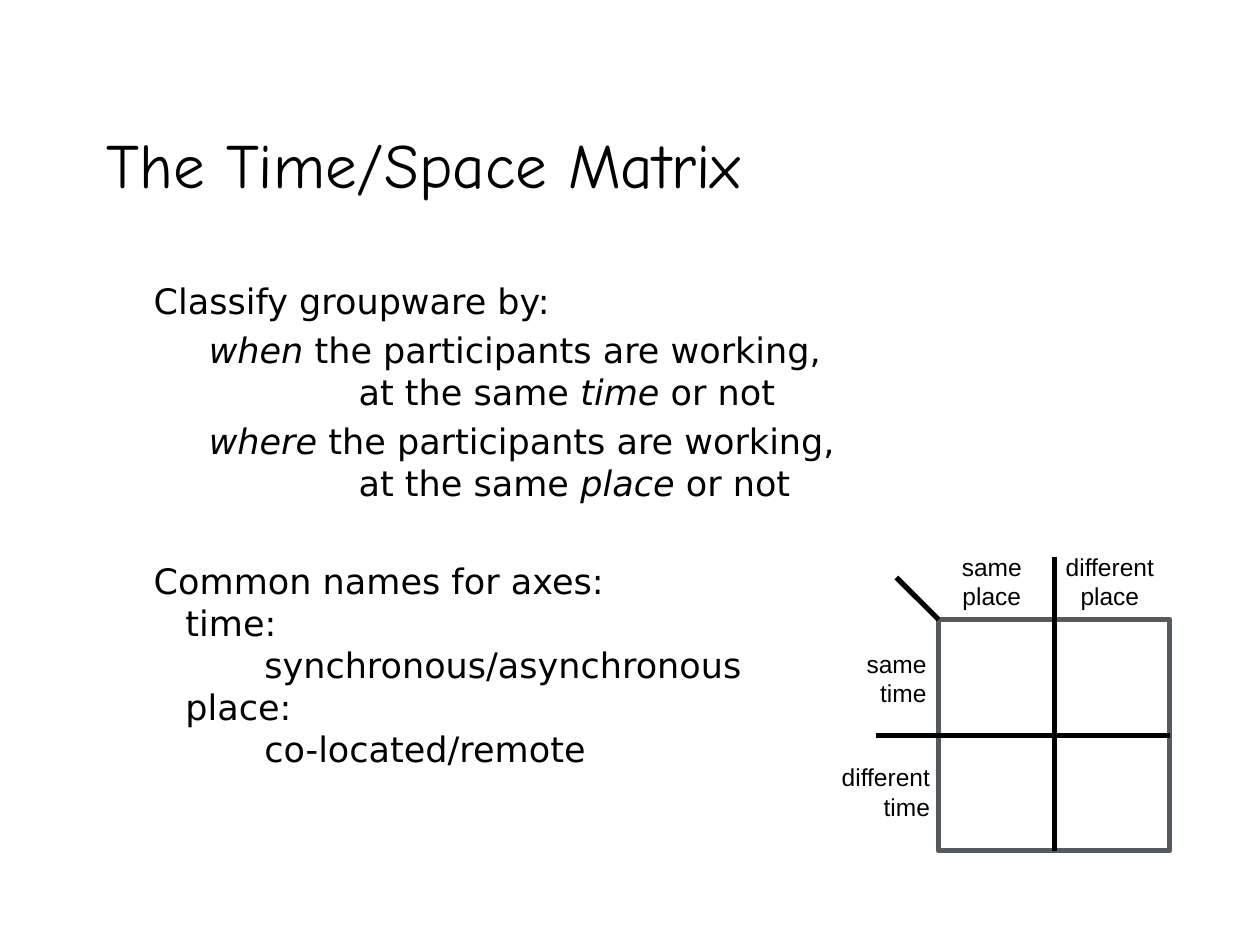
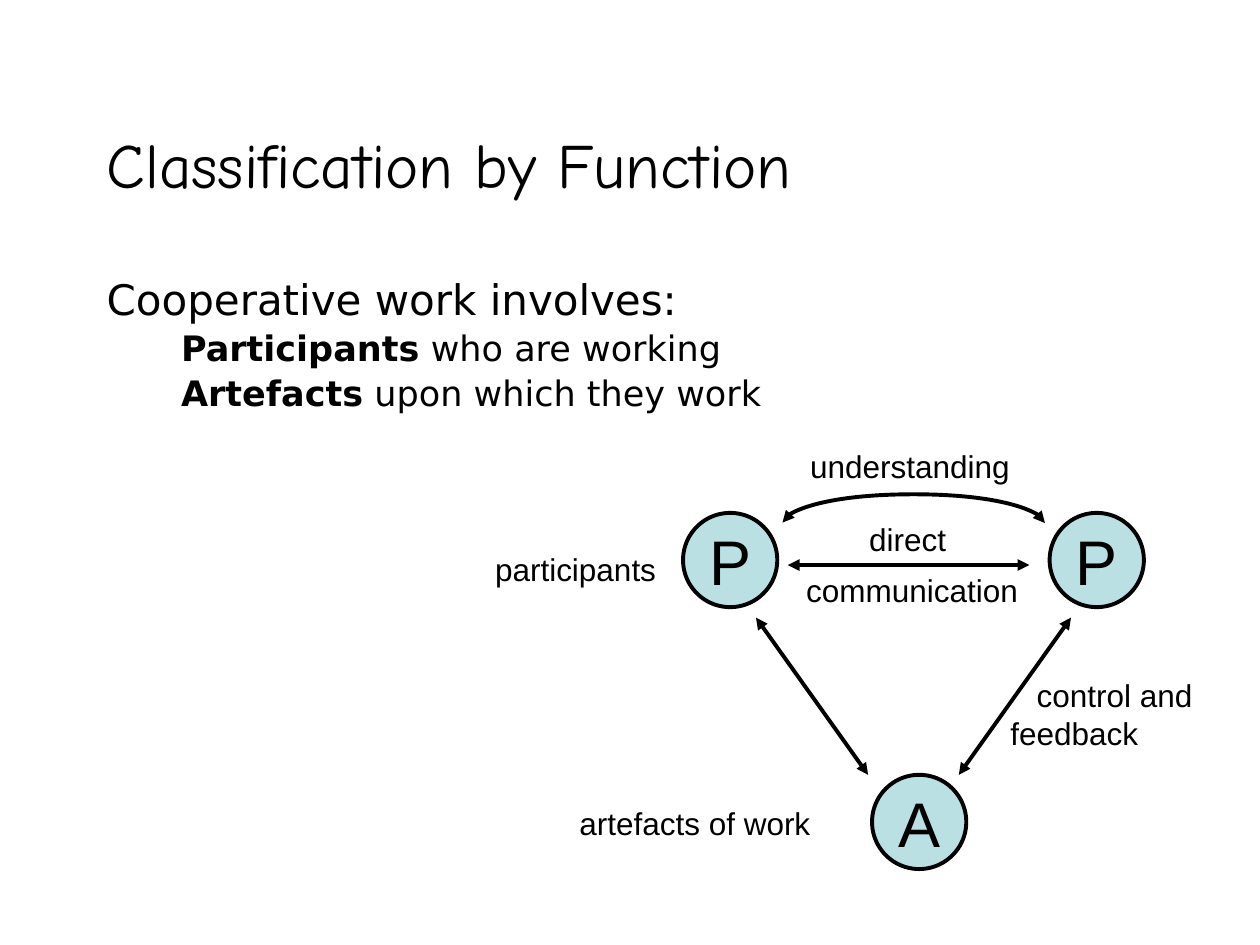
from pptx import Presentation
from pptx.dml.color import RGBColor
from pptx.enum.shapes import MSO_CONNECTOR as LINK, MSO_SHAPE as SHAPE
from pptx.enum.text import MSO_ANCHOR as ANCHOR, MSO_AUTO_SIZE as FIT, PP_ALIGN as ALIGN
from pptx.oxml.ns import qn
from pptx.util import Cm, Pt
from lxml.etree import SubElement

BLACK, WHITE, GREY, AQUA = "000000", "FFFFFF", "555A5E", "BBE0E3"
TITLE_FONT, BODY_FONT, LABEL_FONT = "Comic Neue", "DejaVu Sans", "Arial"


def rgb(color):
    return RGBColor.from_string(color)


class Deck:
    """Holds the shared style and the slide being built; lengths are in cm."""

    def __init__(self):
        self.prs = Presentation()
        self.prs.slide_width, self.prs.slide_height = Cm(25.4), Cm(19.05)

    def slide(self, title):
        self.s = self.prs.slides.add_slide(self.prs.slide_layouts[5])
        sp = self.s.shapes.title
        sp.left, sp.top, sp.width, sp.height = Cm(1.9), Cm(1.7), Cm(19.05), Cm(3.18)
        sp.text_frame.vertical_anchor = ANCHOR.MIDDLE
        p = sp.text_frame.paragraphs[0]
        p.alignment = ALIGN.LEFT
        self.run(p, title, TITLE_FONT, 36)

    def run(self, p, text, font, size, style=""):
        r = p.add_run()
        r.text = text
        r.font.name, r.font.size = font, Pt(size)
        r.font.bold, r.font.italic = style == "b", style == "i"
        r.font.color.rgb = rgb(BLACK)

    def body(self, height, lines, spacing=1.0):
        """Each line is (left indent, space before, size, runs)."""
        tf = self.s.shapes.add_textbox(Cm(1.9), Cm(5.5), Cm(21.59), Cm(height)).text_frame
        tf.word_wrap = True
        for i, (left, before, size, runs) in enumerate(lines):
            p = tf.add_paragraph() if i else tf.paragraphs[0]
            p.line_spacing, p.space_before = spacing, Pt(before)
            p._p.get_or_add_pPr().set("marL", str(Cm(left)))
            for text, style in runs:
                self.run(p, text, BODY_FONT, size, style)

    def label(self, x, y, w, h, text, size, align=ALIGN.LEFT, first_indent=0):
        tf = self.s.shapes.add_textbox(Cm(x), Cm(y), Cm(w), Cm(h)).text_frame
        tf.word_wrap, tf.auto_size = False, FIT.SHAPE_TO_FIT_TEXT
        p = tf.paragraphs[0]
        p.alignment = align
        if first_indent:
            p._p.get_or_add_pPr().set("indent", str(Cm(first_indent)))
        for i, line in enumerate(text.split("\n")):
            if i:
                p.add_line_break()
            self.run(p, line, LABEL_FONT, size)

    def shape(self, kind, x, y, size, fill, line, width, text=""):
        sp = self.s.shapes.add_shape(kind, Cm(x), Cm(y), Cm(size), Cm(size))
        sp.shadow.inherit = False
        sp.fill.solid()
        sp.fill.fore_color.rgb = rgb(fill)
        sp.line.color.rgb, sp.line.width = rgb(line), Pt(width)
        if text:
            tf = sp.text_frame
            tf.word_wrap, tf.vertical_anchor = False, ANCHOR.MIDDLE
            p = tf.paragraphs[0]
            p.alignment = ALIGN.CENTER
            self.run(p, text, LABEL_FONT, 36)

    def line(self, x1, y1, x2, y2, width, kind=LINK.STRAIGHT, arrows=False):
        c = self.s.shapes.add_connector(kind, Cm(x1), Cm(y1), Cm(x2), Cm(y2))
        c.line.color.rgb, c.line.width = rgb(BLACK), Pt(width)
        if arrows:
            for end in ("a:headEnd", "a:tailEnd"):
                SubElement(c.line._ln, qn(end), type="triangle")
        SubElement(c._element.spPr, qn("a:effectLst"))
        return c

    def arch(self, x1, x2, y, rise, width):
        """Curved double arrow: an upright connector of tiny width, turned 90 degrees."""
        thin, mid, half = 0.01, (x1 + x2) / 2, (x2 - x1) / 2
        c = self.line(mid, y - half, mid + thin, y + half, width, LINK.CURVE, True)
        xfrm = c._element.spPr.find(qn("a:xfrm"))
        xfrm.set("rot", str(90 * 60000))
        xfrm.set("flipV", "1")
        adjust = c._element.spPr.find(qn("a:prstGeom")).get_or_add_avLst()
        SubElement(adjust, qn("a:gd"), name="adj1", fmla=f"val {round(-rise / thin * 100000)}")


def time_space_matrix(deck):
    deck.slide("The Time/Space Matrix")
    deck.body(11.43, [
        (0.95, 0, 20, [("Classify groupware by:", "")]),
        (2.06, 4, 20, [("when", "i"), (" the participants are working,", "")]),
        (5.08, 0, 20, [("at the same ", ""), ("time", "i"), (" or not", "")]),
        (2.06, 4, 20, [("where", "i"), (" the participants are working,", "")]),
        (5.08, 0, 20, [("at the same ", ""), ("place", "i"), (" or not", "")]),
        (0.95, 32, 20, [("Common names for axes:", "")]),
        (1.59, 0, 20, [("time:", "")]),
        (3.18, 0, 20, [("synchronous/asynchronous", "")]),
        (1.59, 0, 20, [("place:", "")]),
        (3.18, 0, 20, [("co-located/remote", "")]),
    ])
    left, top, cell, overhang, diagonal = 18.92, 12.49, 2.33, 1.27, 0.85
    mid_x, mid_y = left + cell, top + cell
    deck.shape(SHAPE.RECTANGLE, left, top, 2 * cell, WHITE, GREY, 3)
    deck.line(left - overhang, mid_y, mid_x + cell, mid_y, 3)
    deck.line(mid_x, top - overhang, mid_x, mid_y + cell, 3)
    deck.line(left, top, left - diagonal, top - diagonal, 3)
    for x, y, w, text, align in (
        (21.23, 11, 2.29, "different\nplace", ALIGN.CENTER),
        (19.13, 11, 1.73, "same\nplace", ALIGN.CENTER),
        (17.2, 12.95, 1.73, "same\ntime", ALIGN.RIGHT),
        (16.71, 15.24, 2.29, "different\ntime", ALIGN.RIGHT),
    ):
        deck.label(x, y, w, 1.45, text, 14, align)


def classification_by_function(deck):
    deck.slide("Classification by Function")
    deck.body(3.18, [
        (0, 0, 24, [("Cooperative work involves:", "")]),
        (1.5, 4, 20, [("Participants", "b"), (" who are working", "")]),
        (1.5, 4, 20, [("Artefacts", "b"), (" upon which they work", "")]),
    ], spacing=0.9)
    for x, y, letter in ((13.77, 10.34, "P"), (21.16, 10.34, "P"), (17.58, 15.62, "A")):
        deck.shape(SHAPE.OVAL, x, y, 1.9, AQUA, BLACK, 2.25, letter)
    for ends in (
        (15.24, 12.45, 17.5, 15.62),
        (21.59, 12.45, 19.33, 15.62),
        (20.75, 11.39, 15.88, 11.39),
    ):
        deck.line(*ends, 2.25, arrows=True)
    deck.arch(15.77, 21.06, 10.54, 0.57, 2.25)
    for x, y, w, text in (
        (9.73, 10.97, 3.8, "participants"),
        (11.43, 16.08, 5.2, "artefacts of work"),
        (16, 11.38, 4.8, "communication"),
        (16.08, 8.89, 4.7, "understanding"),
        (17.27, 10.36, 2.1, "direct"),
    ):
        deck.label(x, y, w, 1.02, text, 18)
    deck.label(20.12, 13.51, 4.65, 1.78, "control and\nfeedback", 18, first_indent=0.53)


def main():
    deck = Deck()
    time_space_matrix(deck)
    classification_by_function(deck)
    deck.prs.save("out.pptx")


if __name__ == "__main__":
    main()
